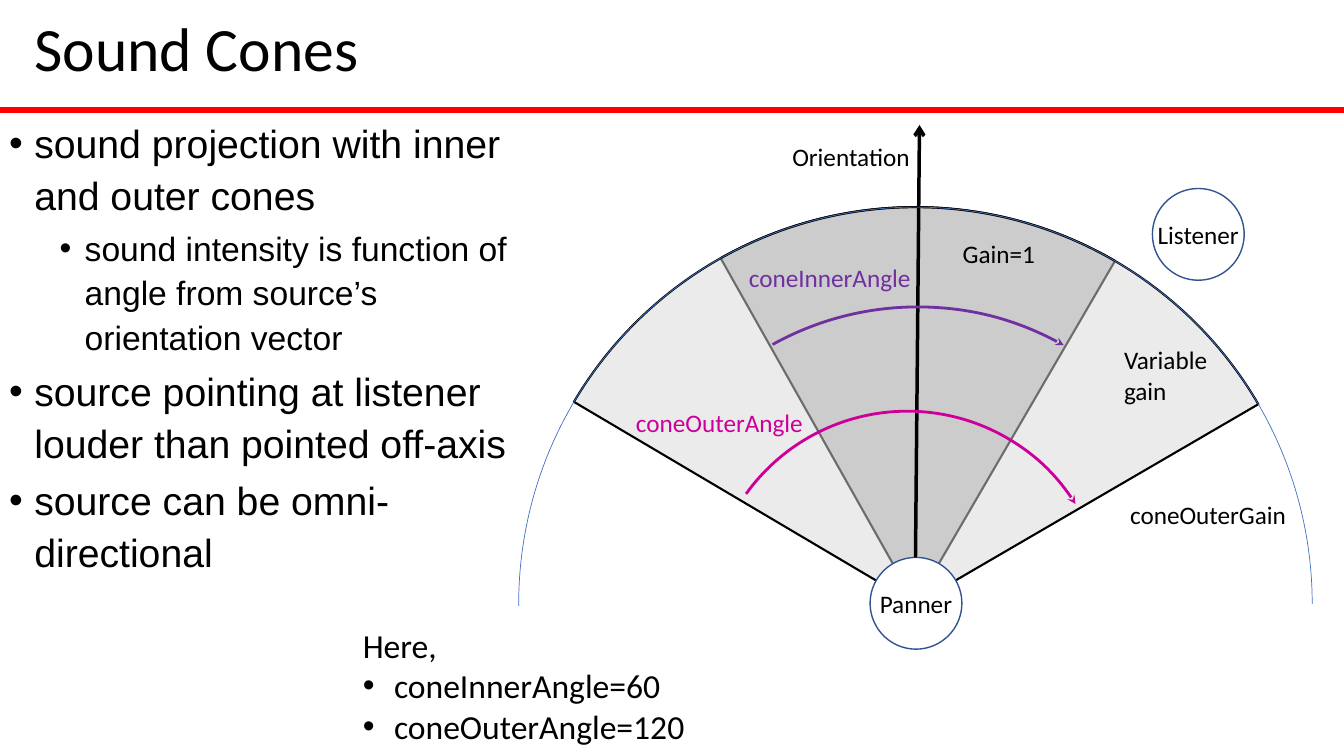
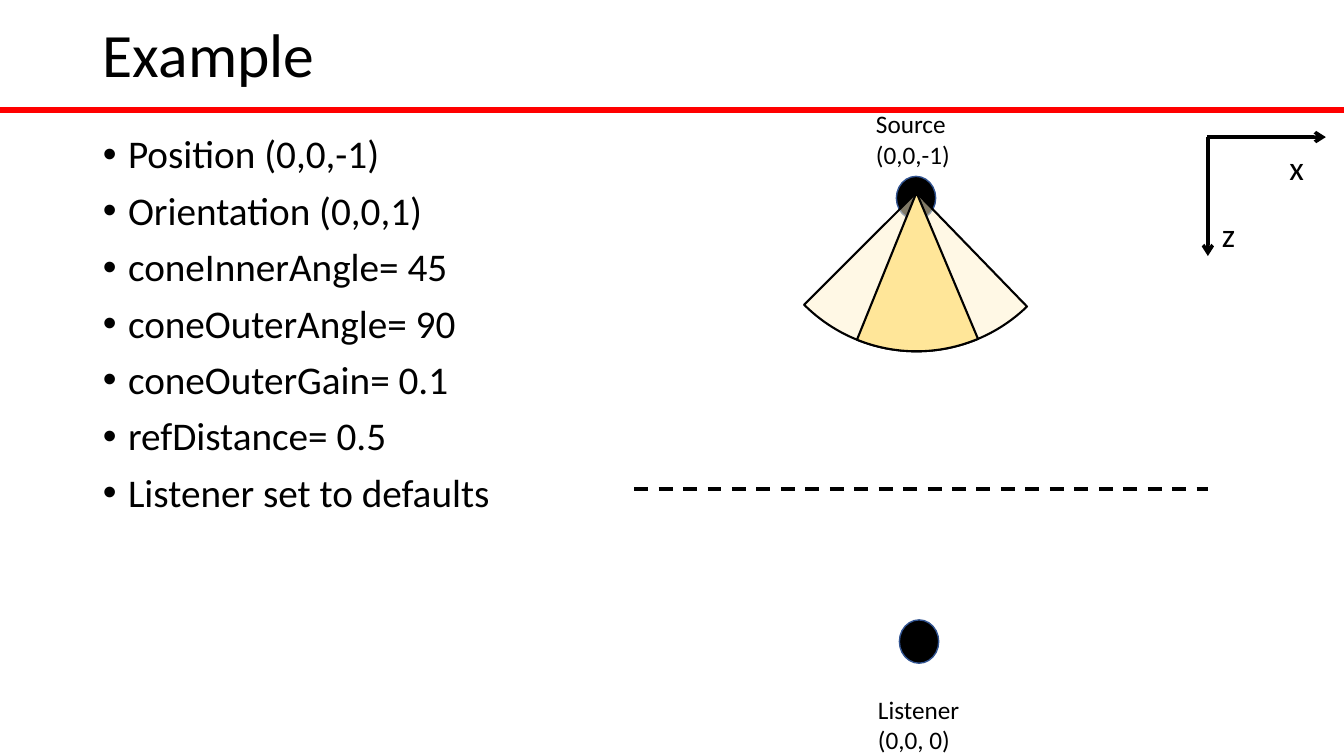
"""Build two slides on directional sound cones."""
from lxml import etree
from pptx import Presentation
from pptx.dml.color import RGBColor
from pptx.enum.dml import MSO_LINE
from pptx.enum.shapes import MSO_CONNECTOR, MSO_SHAPE
from pptx.enum.text import MSO_ANCHOR, MSO_AUTO_SIZE, PP_ALIGN
from pptx.oxml.ns import qn
from pptx.util import Inches, Pt

LEFT, CENTER = PP_ALIGN.LEFT, PP_ALIGN.CENTER
TOP, MIDDLE = MSO_ANCHOR.TOP, MSO_ANCHOR.MIDDLE
NO_FIT = MSO_AUTO_SIZE.NONE
STRAIGHT = MSO_CONNECTOR.STRAIGHT
DASH = MSO_LINE.DASH
ELLIPSE, PIE, ARC = MSO_SHAPE.OVAL, MSO_SHAPE.BLOCK_ARC, MSO_SHAPE.ARC
PIE = MSO_SHAPE.PIE

BLACK, WHITE, RED = "000000", "FFFFFF", "FF0000"
NAVY, BLUE = "325491", "4472C4"
PURPLE, MAGENTA = "7030A0", "CC0099"
GRAY, SILVER = "808080", "D9D9D9"
GOLD, CREAM = "FFE699", "FFF2CC"


def rgb(color):
    return RGBColor.from_string(color)


def write(tf, text, size=18, font="Calibri", color=BLACK, align=LEFT,
          level=0, hang=0, margin=None, spacing=None, before=0):
    """Add one paragraph; a hanging indent gives it a bullet."""
    first = not tf.text
    p = tf.paragraphs[0] if first else tf.add_paragraph()
    p.alignment, p.level = align, level
    p.space_before = Pt(0 if first else before)
    if spacing:
        p.line_spacing = spacing
    if hang:
        pPr = p._p.get_or_add_pPr()
        pPr.set("marL", str(Inches(hang if margin is None else margin)))
        pPr.set("indent", str(Inches(-hang)))
        etree.SubElement(pPr, qn("a:buFont"), typeface="Arial")
        etree.SubElement(pPr, qn("a:buChar"), char="•")
    r = p.add_run()
    r.text = text
    r.font.size, r.font.name = Pt(size), font
    r.font.color.rgb = rgb(color)


class Deck:
    def __init__(self):
        self.prs = Presentation()
        self.prs.slide_width, self.prs.slide_height = Inches(13.33), Inches(7.5)
        self.s = None

    def slide(self, title, box):
        self.s = self.prs.slides.add_slide(self.prs.slide_layouts[1])
        self.line((0, 1.09), (13.33, 1.09), RED, 4.5)
        tf = self.place(self.s.shapes.title, box, MIDDLE)
        write(tf, title, size=44, spacing=0.9)

    def place(self, sp, box, anchor):
        sp.left, sp.top, sp.width, sp.height = map(Inches, box)
        tf = sp.text_frame
        tf.word_wrap, tf.auto_size, tf.vertical_anchor = True, NO_FIT, anchor
        return tf

    def body(self, box, items, **fmt):
        tf = self.place(self.s.placeholders[1], box, TOP)
        for text, extra in items:
            write(tf, text, **{"size": 28, "hang": 0.25, **fmt, **extra})

    def label(self, x, y, w, h, *lines, **fmt):
        tf = self.s.shapes.add_textbox(*map(Inches, (x, y, w, h))).text_frame
        tf.word_wrap = True
        for text in lines:
            write(tf, text, **fmt)
        return tf

    def stroke(self, sp, color, width, head=None):
        sp.line.color.rgb, sp.line.width = rgb(color), Pt(width)
        if head:
            ln = sp.element.spPr.get_or_add_ln()
            etree.SubElement(ln, qn("a:tailEnd"), type=head)

    def line(self, start, end, color=BLACK, width=2.5, head=None, dash=None):
        sp = self.s.shapes.add_connector(STRAIGHT, *map(Inches, start + end))
        if dash:
            sp.line.dash_style = dash
        self.stroke(sp, color, width, head)
        etree.SubElement(sp.element.spPr, qn("a:effectLst"))

    def shape(self, kind, box, fill, color, width, alpha=None, head=None):
        sp = self.s.shapes.add_shape(kind, *map(Inches, box))
        sp.shadow.inherit = False
        if fill:
            sp.fill.solid()
            sp.fill.fore_color.rgb = rgb(fill)
        else:
            sp.fill.background()
        if alpha:
            clr = sp.element.spPr.find(".//" + qn("a:srgbClr"))
            etree.SubElement(clr, qn("a:alpha"), val=str(alpha * 1000))
        self.stroke(sp, color, width, head)
        return sp

    def sector(self, kind, center, radius, angles, fill=None, color=BLACK,
               width=1.5, **fmt):
        """Draw a pie or arc between two clockwise angles in degrees."""
        x, y = center
        box = x - radius, y - radius, 2 * radius, 2 * radius
        sp = self.shape(kind, box, fill, color, width, **fmt)
        for i, angle in enumerate(angles):
            sp.adjustments[i] = angle * 0.6

    def circle(self, x, y, text):
        sp = self.shape(ELLIPSE, (x, y, 0.91, 0.91), WHITE, NAVY, 1)
        tf = sp.text_frame
        tf.word_wrap, tf.vertical_anchor = False, MIDDLE
        write(tf, text, align=CENTER)

    def dot(self, x, y):
        self.shape(ELLIPSE, (x, y, 0.39, 0.43), BLACK, NAVY, 1)


def cones_slide(deck):
    deck.slide("Sound Cones", (0.24, 0, 4.75, 1.03))
    deck.body((-0.01, 1.09, 5.5, 5.92), [
        ("sound projection with inner and outer cones", {}),
        ("sound intensity is function of angle from source’s orientation vector",
         {"level": 1, "size": 24, "margin": 0.75}),
        ("source pointing at listener louder than pointed off-axis", {}),
        ("source can be omni-directional", {}),
    ], font="Arial", spacing=1.1, before=4)

    center = 9.08, 5.99
    deck.sector(PIE, center, 3.935, (240.6, 300.2), GRAY, alpha=50)
    deck.sector(PIE, center, 3.935, (210.6, 329.8), SILVER, alpha=50)
    deck.circle(8.63, 5.53, "Panner")
    deck.line((9.08, 5.53), (9.12, 1.24), head="arrow")
    deck.sector(ARC, center, 3.935, (179.7, 0), color=BLUE, width=0.5)
    deck.sector(ARC, (9, 6.05), 1.97, (215.7, 327.8), color=MAGENTA, width=2,
                head="stealth")
    deck.sector(ARC, (9.1, 6), 2.955, (240.9, 299.4), color=PURPLE, width=2,
                head="stealth")
    deck.circle(11.43, 1.87, "Listener")
    for x, y, w, text, color in [
        (11.05, 3.37, 1.23, "Variable gain", BLACK),
        (9.45, 2.32, 1.2, "Gain=1", BLACK),
        (7.76, 1.35, 1.67, "Orientation", BLACK),
        (11.11, 4.9, 1.89, "coneOuterGain", BLACK),
        (7.33, 2.55, 2.16, "coneInnerAngle", PURPLE),
        (6.21, 3.99, 2.16, "coneOuterAngle", MAGENTA),
    ]:
        deck.label(x, y, w, 0.4, text, color=color)
    tf = deck.label(3.5, 6.15, 3.6, 1.31, "Here,", size=24)
    for text in ("coneInnerAngle=60", "coneOuterAngle=120"):
        write(tf, text, size=24, hang=0.31)


def example_slide(deck):
    deck.slide("Example", (0.92, 0.06, 11.5, 1.03))
    settings = ("Position (0,0,-1)", "Orientation (0,0,1)", "coneInnerAngle= 45",
                "coneOuterAngle= 90", "coneOuterGain= 0.1", "refDistance= 0.5",
                "Listener set to defaults")
    deck.body((0.92, 1.29, 5.87, 5.46), [(text, {}) for text in settings],
              spacing=0.9, before=10)

    deck.dot(8.92, 6.15)
    deck.dot(8.89, 1.75)
    deck.label(8.59, 1.03, 1.2, 0.71, "Source", "(0,0,-1)")
    deck.label(8.61, 6.84, 1.2, 0.71, "Listener", "(0,0, 0)")
    deck.line((11.97, 1.36), (13.15, 1.36), head="arrow")
    deck.line((11.98, 1.36), (11.98, 2.54), head="arrow")
    deck.label(12.69, 1.41, 0.5, 0.5, "x", size=24)
    deck.label(12.02, 2.07, 0.5, 0.5, "z", size=24)
    source = 9.09, 1.91
    deck.sector(PIE, source, 1.575, (45.9, 135), CREAM, alpha=50)
    deck.sector(PIE, source, 1.575, (67.2, 112), GOLD)
    deck.line((6.29, 4.85), (11.98, 4.85), dash=DASH)


def main():
    deck = Deck()
    cones_slide(deck)
    example_slide(deck)
    deck.prs.save("out.pptx")


if __name__ == "__main__":
    main()
